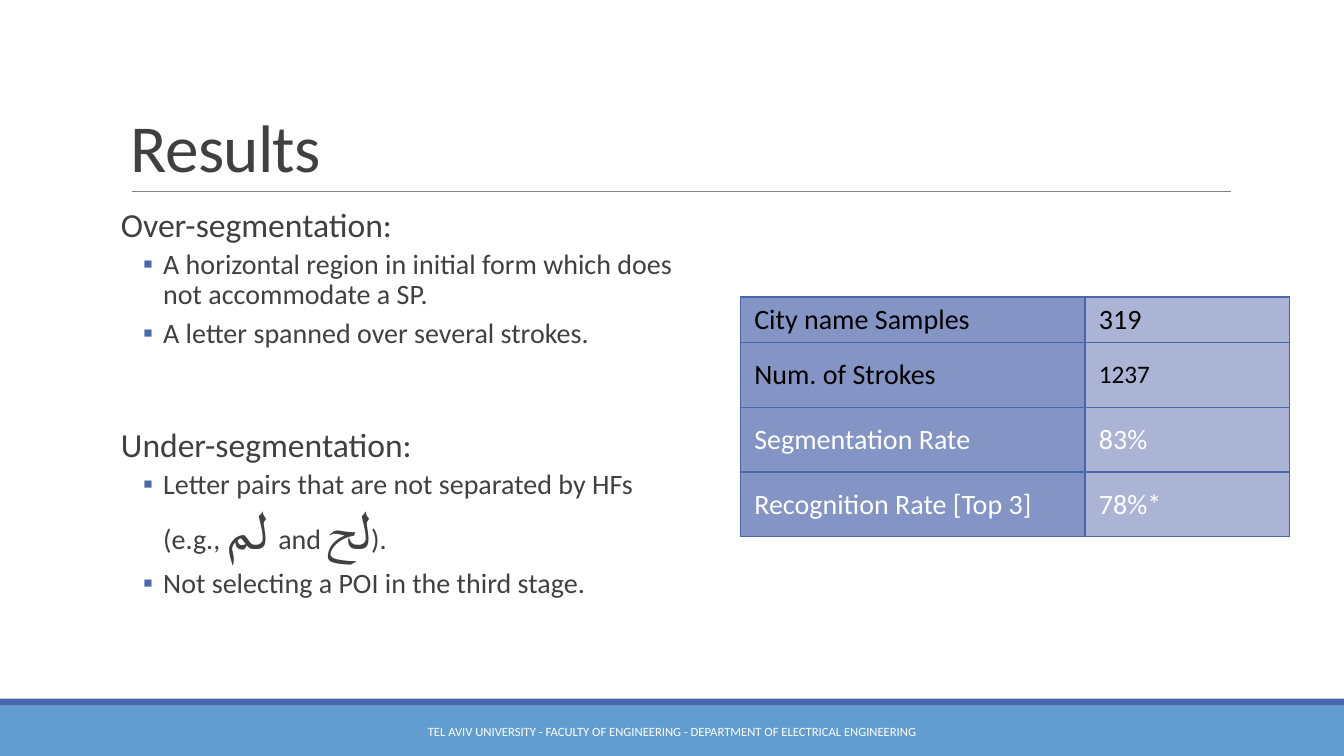
"""Build the Results slide with its findings list and rate table."""
from dataclasses import dataclass
from typing import Any, NamedTuple

from lxml.etree import SubElement
from pptx import Presentation
from pptx.dml.color import RGBColor
from pptx.enum.shapes import MSO_CONNECTOR, MSO_SHAPE
from pptx.enum.text import MSO_ANCHOR, PP_ALIGN
from pptx.oxml.ns import qn
from pptx.util import Pt


@dataclass(frozen=True)
class Theme:
    """Hold the colours, fonts and type sizes."""
    font: str = "Calibri"
    script: str = "Roboto"
    blue: str = "4A66AC"
    sky: str = "629DD1"
    rule: str = "808080"
    ink: str = "404040"
    dark: str = "000000"
    white: str = "FFFFFF"
    label: str = "8494C4"
    value: str = "ACB4D5"
    title: float = 48
    head: float = 24
    item: float = 20
    small: float = 18
    gap: float = 28
    glyph: float = 40
    foot: float = 9


THEME = Theme()


class Box(NamedTuple):
    """Place a shape by left, top, width and height."""
    left: float
    top: float
    width: float
    height: float


class Band(NamedTuple):
    """Describe one footer band."""
    box: Box
    fill: str


class Line(NamedTuple):
    """Describe one body line as runs of text, size and font."""
    runs: list[tuple[str, float, str]]
    bullet: bool = True
    before: float = 2


class Row(NamedTuple):
    """Describe one table row."""
    label: str
    value: str
    color: str
    height: float = 46.3
    size: float = THEME.item


def head(text: str, before: float = 0) -> Line:
    """Make a heading line."""
    return Line([(text, THEME.head, THEME.font)], False, before)


def item(text: str) -> Line:
    """Make a plain bullet line."""
    return Line([(text, THEME.item, THEME.font)])


BANDS = [Band(Box(0, 504, 960, 36), THEME.sky), Band(Box(0, 499, 960, 5), THEME.blue)]
LINES = [
    head("Over-segmentation:"),
    item("A horizontal region in initial form which does not accommodate a SP."),
    item("A letter spanned over several strokes."),
    head("Under-segmentation:", 52.4),
    Line([
        ("Letter pairs that are not separated by HFs (e.g., ", THEME.item, THEME.font),
        ("لم", THEME.glyph, THEME.script),
        (" ", THEME.gap, THEME.font),
        ("and ", THEME.item, THEME.font),
        ("لح", THEME.glyph, THEME.script),
        (").", THEME.item, THEME.font),
    ]),
    item("Not selecting a POI in the third stage."),
]
ROWS = [
    Row("City name Samples", "319", THEME.dark, height=32.4),
    Row("Num. of Strokes", "1237", THEME.dark, size=THEME.small),
    Row("Segmentation Rate", "83%", THEME.white),
    Row("Recognition Rate [Top 3]", "78%*", THEME.white),
]
WIDTHS = [246.2, 146.2]


def write(par: Any, text: str, *, size: float, color: str = THEME.ink,
          font: str = THEME.font, track: int = 0) -> None:
    """Add a formatted run to a paragraph."""
    run = par.add_run()
    run.text = text
    run.font.size = Pt(size)
    run.font.name = font
    run.font.color.rgb = RGBColor.from_string(color)
    props = run.font._element
    if track:
        props.set("spc", str(track))
    if font == THEME.script:
        SubElement(props, qn("a:cs"), typeface=font)


def frame(slide: Any, box: Box, anchor: MSO_ANCHOR, side: float = 7.2) -> Any:
    """Add a wrapping text box and return its frame."""
    text = slide.shapes.add_textbox(*map(Pt, box)).text_frame
    text.word_wrap = True
    text.vertical_anchor = anchor
    text.margin_left = text.margin_right = Pt(side)
    return text


def paint(parent: Any, color: str) -> None:
    """Add a solid fill element."""
    SubElement(SubElement(parent, qn("a:solidFill")), qn("a:srgbClr"), val=color)


def mark(par: Any) -> None:
    """Indent a paragraph and give it a square bullet."""
    props = par._p.get_or_add_pPr()
    props.set("marL", str(Pt(30.2)))
    props.set("indent", str(-Pt(14.4)))
    SubElement(SubElement(props, qn("a:buClr")), qn("a:srgbClr"), val=THEME.blue)
    SubElement(props, qn("a:buFont"), typeface=THEME.font)
    SubElement(props, qn("a:buChar"), char="▪")


def list_lines(slide: Any, lines: list[Line]) -> None:
    """Draw the headings and bullets."""
    text = frame(slide, Box(86.4, 145.4, 399.6, 316.8), MSO_ANCHOR.TOP, 0)
    for place, line in enumerate(lines):
        par = text.add_paragraph() if place else text.paragraphs[0]
        par.line_spacing = 0.9
        par.space_before = Pt(line.before)
        par.space_after = Pt(4 if line.bullet else 2)
        if line.bullet:
            mark(par)
        for words, size, font in line.runs:
            write(par, words, size=size, font=font)


def fill_cell(cell: Any, text: str, back: str, row: Row, size: float) -> None:
    """Border, fill and label one table cell."""
    props = cell._tc.get_or_add_tcPr()
    for side in ("lnL", "lnR", "lnT", "lnB"):
        paint(SubElement(props, qn(f"a:{side}"), w=str(Pt(1))), THEME.blue)
    cell.fill.solid()
    cell.fill.fore_color.rgb = RGBColor.from_string(back)
    cell.vertical_anchor = MSO_ANCHOR.MIDDLE
    cell.margin_left = cell.margin_right = Pt(10)
    cell.margin_top = cell.margin_bottom = Pt(3.6)
    write(cell.text_frame.paragraphs[0], text, size=size, color=row.color)


def draw_table(slide: Any, rows: list[Row]) -> None:
    """Draw the table of rates."""
    box = Box(528.8, 212.2, sum(WIDTHS), sum(row.height for row in rows))
    table = slide.shapes.add_table(len(rows), len(WIDTHS), *map(Pt, box)).table
    table.first_row = table.horz_banding = False
    for column, width in zip(table.columns, WIDTHS):
        column.width = Pt(width)
    for place, row in enumerate(rows):
        table.rows[place].height = Pt(row.height)
        fill_cell(table.cell(place, 0), row.label, THEME.label, row, THEME.item)
        fill_cell(table.cell(place, 1), row.value, THEME.value, row, row.size)


def draw_base(slide: Any) -> None:
    """Draw the footer bands and the title rule."""
    for band in BANDS:
        shape = slide.shapes.add_shape(MSO_SHAPE.RECTANGLE, *map(Pt, band.box))
        shape.shadow.inherit = False
        shape.fill.solid()
        shape.fill.fore_color.rgb = RGBColor.from_string(band.fill)
        shape.line.fill.background()
    ends = map(Pt, (94.3, 136.8, 879.1, 136.8))
    rule = slide.shapes.add_connector(MSO_CONNECTOR.STRAIGHT, *ends)
    rule.line.color.rgb = RGBColor.from_string(THEME.rule)
    rule.line.width = Pt(0.5)
    SubElement(rule._element.spPr, qn("a:effectLst"))


def main() -> None:
    """Build and save the slide."""
    deck = Presentation()
    deck.slide_width, deck.slide_height = Pt(960), Pt(540)
    slide = deck.slides.add_slide(deck.slide_layouts[6])
    draw_base(slide)
    title = frame(slide, Box(86.4, 22.3, 792, 114.5), MSO_ANCHOR.BOTTOM).paragraphs[0]
    title.line_spacing = 0.85
    write(title, "Results", size=THEME.title, track=-50)
    foot = frame(slide, Box(290.2, 508.3, 379.4, 28.8), MSO_ANCHOR.MIDDLE).paragraphs[0]
    foot.alignment = PP_ALIGN.CENTER
    write(foot, "TEL AVIV UNIVERSITY - FACULTY OF ENGINEERING - DEPARTMENT OF ELECTRICAL ENGINEERING",
          size=THEME.foot, color=THEME.white)
    list_lines(slide, LINES)
    draw_table(slide, ROWS)
    deck.save("out.pptx")


if __name__ == "__main__":
    main()
